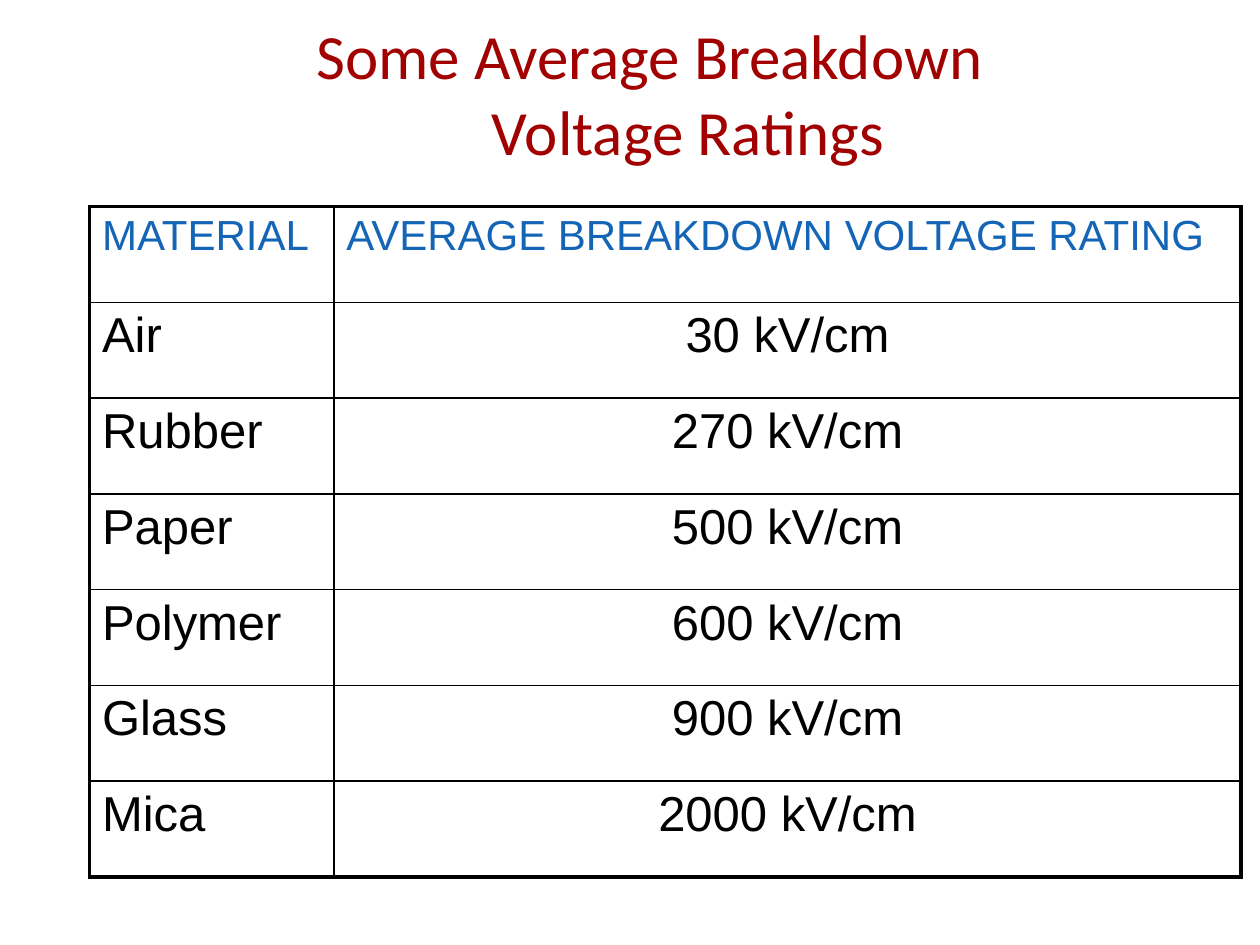
from lxml.etree import SubElement
from pptx import Presentation
from pptx.dml.color import RGBColor
from pptx.enum.text import MSO_ANCHOR, PP_ALIGN
from pptx.oxml.ns import qn
from pptx.util import Inches, Pt

COLORS = {"title": "A20101", "header": "1465B5", "text": "000000", "border": "000000"}
THIN, THICK = 1, 2.25

RATINGS = [
    ("MATERIAL", "AVERAGE BREAKDOWN VOLTAGE RATING"),
    ("Air", "30 kV/cm"),
    ("Rubber", "270 kV/cm"),
    ("Paper", "500 kV/cm"),
    ("Polymer", "600 kV/cm"),
    ("Glass", "900 kV/cm"),
    ("Mica", "2000 kV/cm"),
]


class SlideBuilder:
    def __init__(self, page):
        self.page = page

    def style(self, paragraph, font, size, color, align):
        paragraph.alignment = align
        paragraph.font.name = font
        paragraph.font.size = Pt(size)
        paragraph.font.color.rgb = RGBColor.from_string(COLORS[color])

    def title(self, text, left, top, width, height):
        box = self.page.shapes.title
        box.left, box.top = Inches(left), Inches(top)
        box.width, box.height = Inches(width), Inches(height)
        frame = box.text_frame
        frame.vertical_anchor = MSO_ANCHOR.MIDDLE
        frame.text = text
        self.style(frame.paragraphs[0], "Calibri", 36, "title", PP_ALIGN.CENTER)

    def borders(self, cell, widths):
        properties = cell._tc.get_or_add_tcPr()
        for side, width in widths.items():
            line = SubElement(properties, qn(f"a:ln{side}"), w=str(Pt(width)))
            fill = SubElement(line, qn("a:solidFill"))
            SubElement(fill, qn("a:srgbClr"), val=COLORS["border"])

    def table(self, rows, left, top, column_widths, row_height):
        last_row, last_column = len(rows) - 1, len(column_widths) - 1
        table = self.page.shapes.add_table(
            len(rows), len(column_widths), Inches(left), Inches(top),
            Inches(sum(column_widths)), Inches(row_height * len(rows))).table
        for column, width in zip(table.columns, column_widths):
            column.width = Inches(width)
        for r, values in enumerate(rows):
            table.rows[r].height = Inches(row_height)
            for c, value in enumerate(values):
                cell = table.cell(r, c)
                # Thick outer frame, thin inner grid
                self.borders(cell, {
                    "L": THICK if c == 0 else THIN,
                    "R": THICK if c == last_column else THIN,
                    "T": THICK if r == 0 else THIN,
                    "B": THICK if r == last_row else THIN,
                })
                cell.fill.background()
                cell.text = value
                size, color = (24, "header") if r == 0 else (28, "text")
                align = PP_ALIGN.CENTER if r and c else PP_ALIGN.LEFT
                paragraph = cell.text_frame.paragraphs[0]
                self.style(paragraph, "Arial", size, color, align)
                paragraph.font.bold = False


def main():
    deck = Presentation()
    deck.slide_width, deck.slide_height = Inches(10), Inches(7.5)
    title_only = deck.slide_layouts[5]
    builder = SlideBuilder(deck.slides.add_slide(title_only))

    # Title
    builder.title("Some Average Breakdown \v\tVoltage Ratings", 0.71, 0.11, 9, 1.25)

    # Breakdown voltage table
    builder.table(RATINGS, 0.71, 1.64, [1.94, 7.2], 0.76)

    deck.save("out.pptx")


if __name__ == "__main__":
    main()
